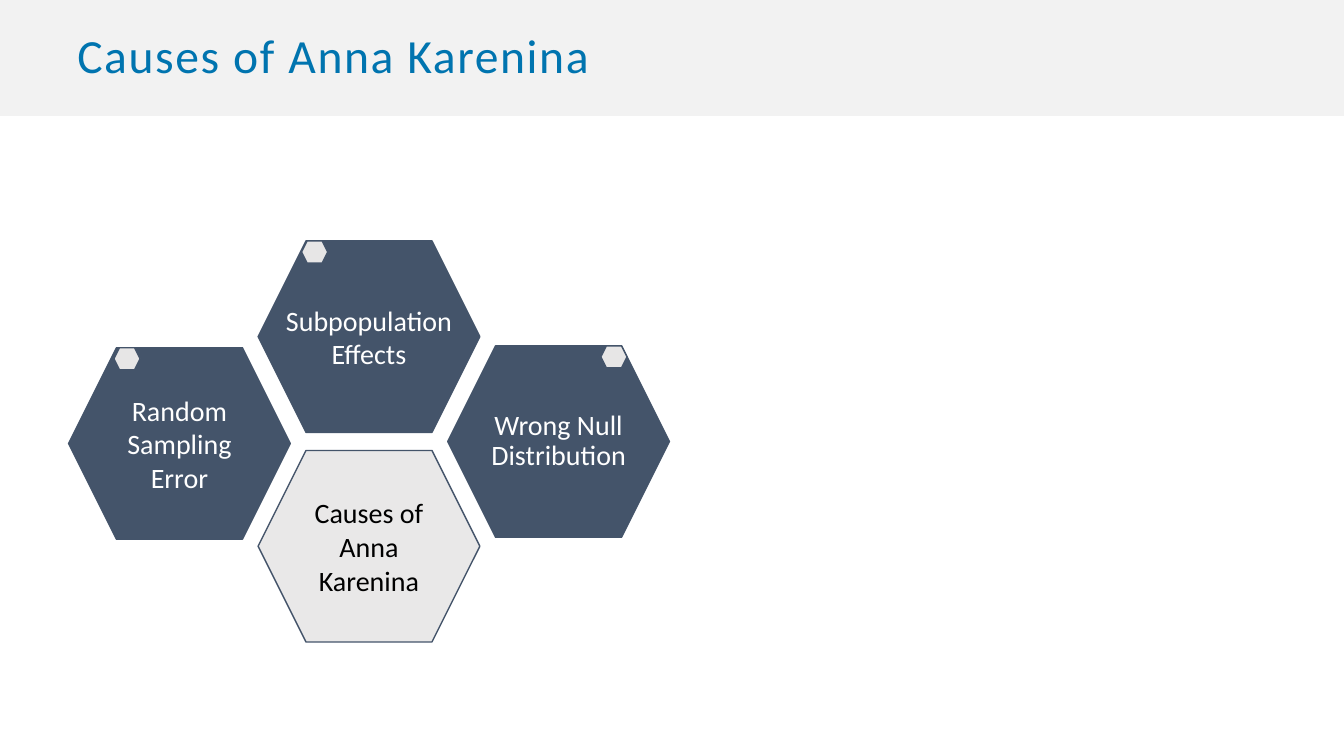
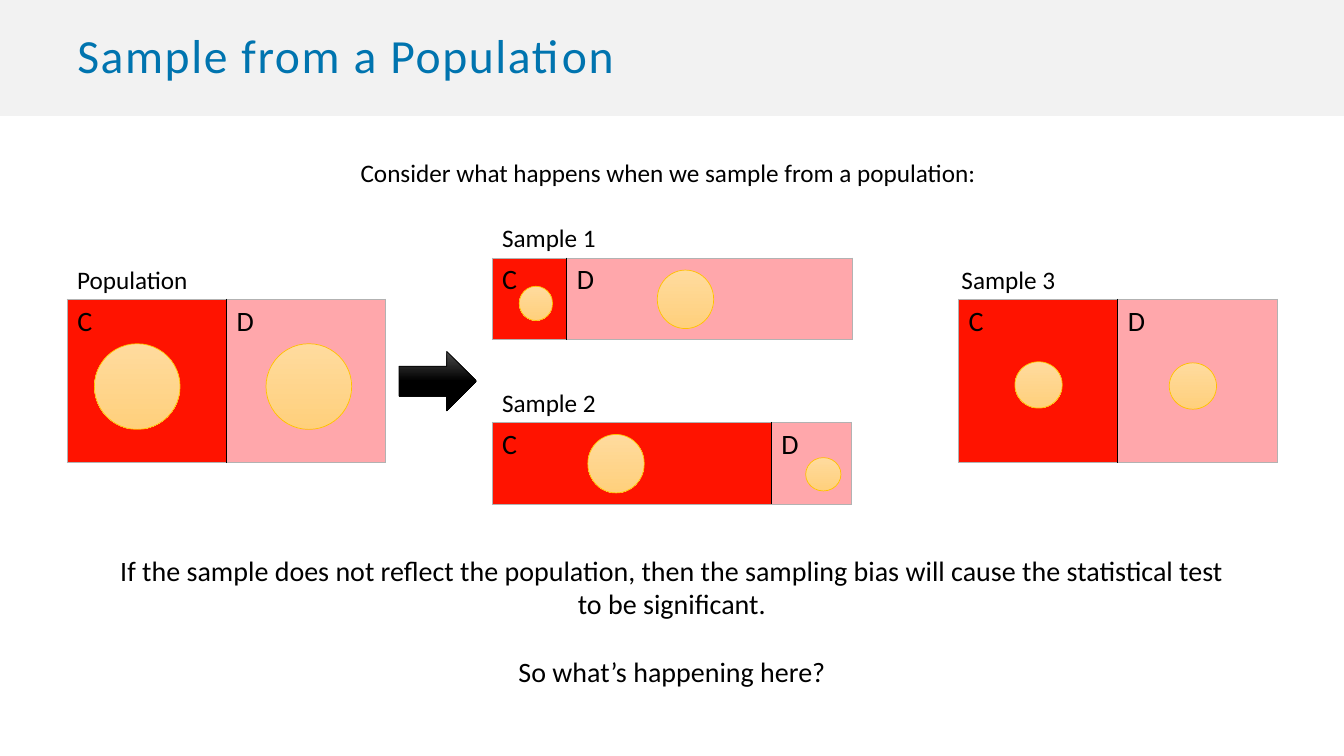
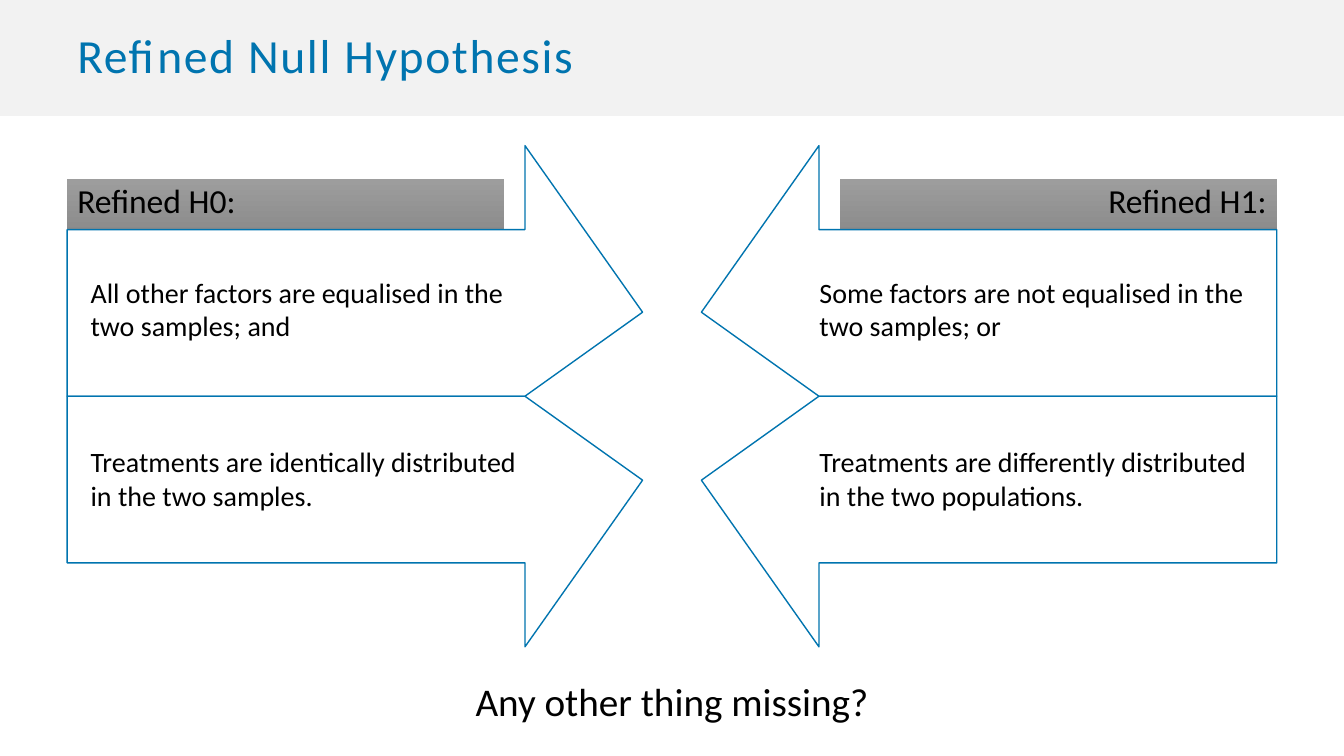
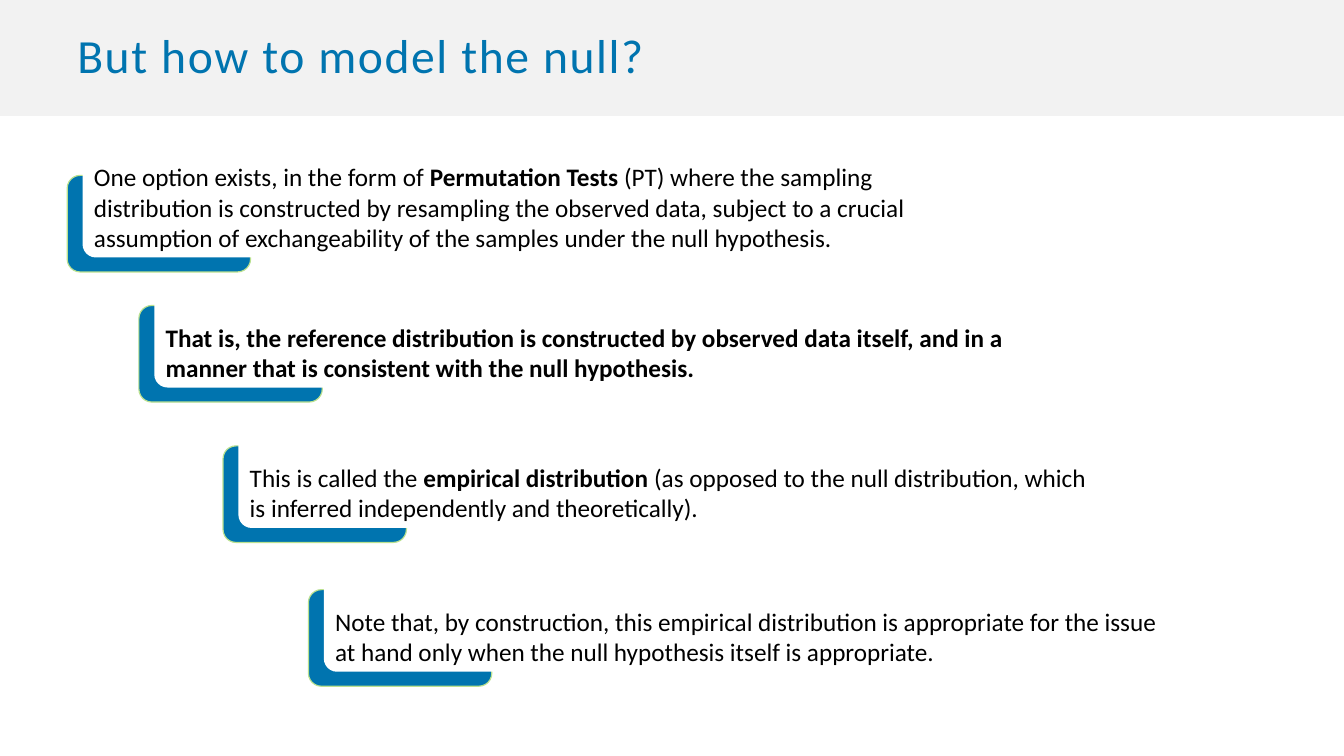
from lxml.etree import SubElement as Sub
from pptx import Presentation
from pptx.dml.color import RGBColor
from pptx.enum.shapes import MSO_SHAPE as Kind
from pptx.enum.text import MSO_ANCHOR as Anchor, MSO_AUTO_SIZE as Fit, PP_ALIGN as Align
from pptx.oxml.ns import qn
from pptx.util import Pt

BLUE = RGBColor(0x00, 0x74, 0xAF)
BAND = RGBColor(0xF2, 0xF2, 0xF2)
BLACK = RGBColor(0x00, 0x00, 0x00)
WHITE = RGBColor(0xFF, 0xFF, 0xFF)
SLATE = RGBColor(0x44, 0x54, 0x6A)
PALE = RGBColor(0xE7, 0xE6, 0xE6)
RED = RGBColor(0xFF, 0x13, 0x00)
PINK = RGBColor(0xFF, 0xA7, 0xAB)
GOLD = RGBColor(0xFF, 0xC0, 0x00)
SAND = RGBColor(0xFF, 0xDB, 0x9E)
AMBER = RGBColor(0xFF, 0xD0, 0x7C)
COAL = RGBColor(0x4B, 0x4B, 0x4B)
GREY = RGBColor(0x9D, 0x9D, 0x9D)
STONE = RGBColor(0x7C, 0x7C, 0x7C)
RULE = RGBColor(0xB2, 0xB2, 0xB2)
LIME = RGBColor(0xBA, 0xE1, 0x8F)

WIDE, HIGH, HEAD = 960, 540, 82.8
EDGE = 48
FONT = "Calibri"


# Shared helpers
def pts(*nums):
    return [Pt(n) for n in nums]


def style(par, size, color=BLACK, align=Align.LEFT, lead=None):
    par.alignment = align
    par.space_before = Pt(0)
    if lead:
        par.line_spacing = lead
    for run in par.runs:
        run.font.name = FONT
        run.font.size = Pt(size)
        run.font.color.rgb = color


def write(frame, text, size, color=BLACK, align=Align.LEFT, lead=None):
    frame.text = text
    style(frame.paragraphs[0], size, color, align, lead)


def label(slide, box, text, size, align=Align.LEFT):
    frame = slide.shapes.add_textbox(*pts(*box)).text_frame
    frame.word_wrap = True
    write(frame, text, size, BLACK, align)
    return frame


def outline(shape, color, width):
    if color is None:
        shape.line.fill.background()
    else:
        shape.line.color.rgb = color
        shape.line.width = Pt(width)


def draw(slide, kind, box, fill, line=None, width=1):
    shape = slide.shapes.add_shape(kind, *pts(*box))
    shape.shadow.inherit = False
    shape.fill.solid()
    shape.fill.fore_color.rgb = fill
    outline(shape, line, width)
    return shape


def fade(shape, top, base, end=1):
    fill = shape.fill
    fill.gradient()
    fill.gradient_angle = 270
    for stop, color, place in zip(fill.gradient_stops, (top, base), (0, end)):
        stop.color.rgb = color
        stop.position = place


def place(shape, box):
    shape.left, shape.top, shape.width, shape.height = pts(*box)


def start(deck, layout, text):
    slide = deck.slides.add_slide(deck.slide_layouts[layout])
    title = slide.shapes.title
    place(title, (EDGE, 0, WIDE - 2 * EDGE, HEAD))
    frame = title.text_frame
    write(frame, text, 34, BLUE, lead=0.9)
    frame.auto_size = Fit.NONE
    frame.vertical_anchor = Anchor.MIDDLE
    frame.paragraphs[0].runs[0].font._element.set("spc", "120")
    return slide


def add_band(deck, slide):
    # The band moves to the master, behind everything
    band = draw(slide, Kind.RECTANGLE, (0, 0, WIDE, HEAD), BAND)
    deck.slide_master.shapes._spTree.insert(2, band._element)


# Slide 1: hexagons
def hexa(slide, left, top, text, dot=None, fill=SLATE, ink=WHITE, room=None, lead=None):
    wide, high = 158.4, 136.8
    shape = draw(slide, Kind.HEXAGON, (left, top, wide, high), fill, SLATE)
    if room:
        box = (left + (wide - room) / 2, top, room, high)
        frame = slide.shapes.add_textbox(*pts(*box)).text_frame
    else:
        frame = shape.text_frame
    frame.word_wrap = True
    frame.margin_left = frame.margin_right = Pt(0)
    frame.vertical_anchor = Anchor.MIDDLE
    write(frame, text, 20, ink, Align.CENTER, lead)
    if dot:
        draw(slide, Kind.HEXAGON, (left + dot, top, 18.7, 15.8), PALE, SLATE)
    return shape


def causes(deck):
    slide = start(deck, 5, "Causes of Anna Karenina")
    add_band(deck, slide)
    col, step = 49, 135.4
    core = hexa(slide, col + step, 321.8, "Causes of Anna Karenina", fill=PALE, ink=BLACK)
    tint = core.fill._xPr.find(qn("a:solidFill"))[0]
    Sub(tint, qn("a:alpha"), val="90000")
    hexa(slide, col, 248.4, "Random Sampling Error", 32.4)
    hexa(slide, col + 2 * step, 247, "Wrong Null Distribution", 109.4, room=109.4, lead=0.9)
    hexa(slide, col + step, 172.1, "Subpopulation Effects", 31, room=133)


# Slide 2: samples
def border(cell, side, color, width):
    line = Sub(cell._tc.get_or_add_tcPr(), qn("a:" + side), w=str(Pt(width)))
    fill = Sub(line, qn("a:solidFill"))
    Sub(fill, qn("a:srgbClr"), val=str(color))


def sample(slide, left, top, cols, high, name, dots, shift=0):
    label(slide, (left + shift, top - 28.8, 159, 28.8), name, 18)
    frame = slide.shapes.add_table(1, 2, *pts(left, top, sum(cols), high))
    table = frame.table
    table.rows[0].height = Pt(high)
    for num, (text, fill) in enumerate((("C", RED), ("D", PINK))):
        table.columns[num].width = Pt(cols[num])
        cell = table.cell(0, num)
        write(cell.text_frame, text, 20)
        cell.text_frame.paragraphs[0].runs[0].font.bold = False
        inner = "lnL" if num else "lnR"
        for side in ("lnL", "lnR", "lnT", "lnB"):
            pen = (BLACK, 1) if side == inner else (RULE, 0.75)
            border(cell, side, *pen)
        cell.fill.solid()
        cell.fill.fore_color.rgb = fill
    for x, y, wide, tall in dots:
        dot = draw(slide, Kind.OVAL, (left + x, top + y, wide, tall), SAND, GOLD, 0.5)
        fade(dot, SAND, AMBER)


def samples(deck):
    slide = start(deck, 5, "Sample from a Population")
    label(slide, (250.5, 108.7, 460, 28.8),
          "Consider what happens when we sample from a population:", 18)
    even = (113.8, 113.8)
    sample(slide, EDGE, 213.8, even, 116.6, "Population",
           [(19.4, 31.7, 61.2, 61.2), (142, 31.7, 61.2, 61.2)])
    sample(slide, 351.5, 184.3, (53.3, 203.8), 58.3, "Sample 1",
           [(19.4, 20.2, 23.8, 24.5), (118, 8.6, 40.3, 41.8)])
    sample(slide, 351.5, 301.7, (199.4, 57.6), 58.3, "Sample 2",
           [(68.4, 8.6, 40.3, 41.8), (224, 25.2, 25.2, 23.8)])
    sample(slide, 684.7, 213.8, even, 116.6, "Sample 3",
           [(40.3, 44.6, 33.8, 33.1), (150.5, 45.4, 33.8, 33.1)], -5)
    arrow = draw(slide, Kind.RIGHT_ARROW, (285, 251, 55.4, 42.5), BLACK, BLACK, 0.5)
    fade(arrow, COAL, BLACK, 0.5)
    label(slide, (75.6, 391.7, 808.6, 55.4),
          "If the sample does not reflect the population, then the sampling bias "
          "will cause the statistical test to be significant.", 20, Align.CENTER)
    label(slide, (340, 463.7, 280, 31.7), "So what’s happening here?", 20, Align.CENTER)


# Slide 3: facing arrows
def wing(slide, seam, right, down, text):
    # Offsets run from the outer edge and from the seam of the two arrows
    turn = 1 if down else -1
    spots = [(0, 0), (0, 119), (327, 119), (327, 179), (411, 60), (327, 0)]
    edge, way = (WIDE - EDGE, -1) if right else (EDGE, 1)
    path = [tuple(pts(edge + way * x, seam + turn * y)) for x, y in spots]
    build = slide.shapes.build_freeform(*path[0])
    build.add_line_segments(path[1:], close=True)
    shape = build.convert_to_shape()
    shape.shadow.inherit = False
    shape.fill.solid()
    shape.fill.fore_color.rgb = WHITE
    outline(shape, BLUE, 1)
    left = 578.2 if right else 57.6
    label(slide, (left, seam + (31 if down else -90), 320.4, 55.4), text, 20)


def refined(deck):
    slide = start(deck, 4, "Refined Null Hypothesis")
    holders = {item.placeholder_format.idx: item for item in slide.placeholders}
    heads = ((1, EDGE, "Refined H0:", Align.LEFT), (3, 600, "Refined H1:", Align.RIGHT))
    for idx, left, text, align in heads:
        body = holders[idx]
        place(body, (left, 128, 312, 64.8))
        fade(body, GREY, STONE)
        frame = body.text_frame
        write(frame, text, 24, BLACK, align, 0.9)
        frame.auto_size = Fit.NONE
        frame.vertical_anchor = Anchor.TOP
        frame.paragraphs[0].runs[0].font.bold = False
    for idx in (2, 4):
        spare = holders[idx]._element
        spare.getparent().remove(spare)
    texts = (
        (False, False, "All other factors are equalised in the two samples; and"),
        (True, False, "Some factors are not equalised in the two samples; or"),
        (False, True, "Treatments are identically distributed in the two samples."),
        (True, True, "Treatments are differently distributed in the two populations."),
    )
    for right, down, text in texts:
        wing(slide, 283, right, down, text)
    label(slide, (174, 480, 612, 40.3), "Any other thing missing?", 28, Align.CENTER)


# Slide 4: stepped notes
def note(slide, left, top, parts):
    tab = draw(slide, Kind.ROUNDED_RECTANGLE, (left, top, 131, 69), BLUE, LIME, 0.85)
    card = draw(slide, Kind.ROUNDED_RECTANGLE, (left + 11, top - 12, 614, 70.6), WHITE)
    for shape in (tab, card):
        shape.adjustments[0] = 0.134
    box = (left + 12, top - 14.4, 613, 73)
    frame = slide.shapes.add_textbox(*pts(*box)).text_frame
    frame.word_wrap = True
    frame.margin_top = Pt(0)
    frame.vertical_anchor = Anchor.BOTTOM
    par = frame.paragraphs[0]
    for text, bold in parts:
        run = par.add_run()
        run.text = text
        run.font.bold = bold
    style(par, 18)


def model(deck):
    slide = start(deck, 5, "But how to model the null?")
    notes = (
        (EDGE, 125.3, [
            ("One option exists, in the form of ", False),
            ("Permutation Tests ", True),
            ("(PT) where the sampling distribution is constructed by resampling the "
             "observed data, subject to a crucial assumption of exchangeability of the "
             "samples under the null hypothesis.", False)]),
        (99.2, 218.2, [
            ("That is, the reference distribution is constructed by observed data itself, "
             "and in a manner that is consistent with the null hypothesis.", True)]),
        (159.3, 318.5, [
            ("This is called the ", False),
            ("empirical distribution ", True),
            ("(as opposed to the null distribution, which is inferred independently "
             "and theoretically).", False)]),
        (220.3, 421.2, [
            ("Note that, by construction, this empirical distribution is appropriate for "
             "the issue at hand only when the null hypothesis itself is appropriate.",
             False)]),
    )
    for left, top, parts in notes:
        note(slide, left, top, parts)


def main():
    deck = Presentation()
    deck.slide_width, deck.slide_height = pts(WIDE, HIGH)
    for build in (causes, samples, refined, model):
        build(deck)
    deck.save("out.pptx")


if __name__ == "__main__":
    main()
